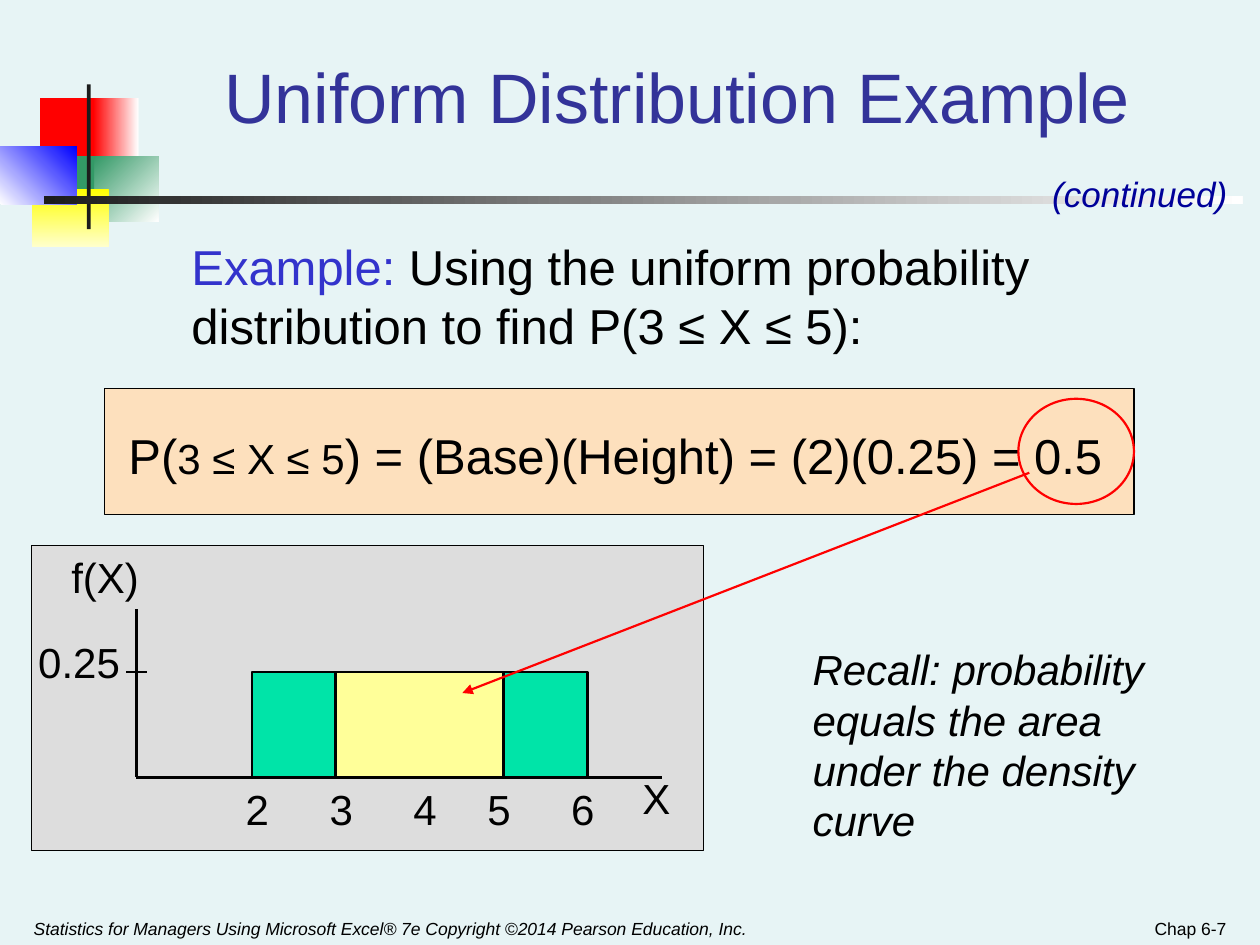
from dataclasses import dataclass

from lxml.etree import SubElement
from pptx import Presentation
from pptx.dml.color import RGBColor
from pptx.enum.shapes import MSO_CONNECTOR, MSO_SHAPE
from pptx.enum.text import MSO_ANCHOR, PP_ALIGN
from pptx.oxml.ns import qn
from pptx.util import Cm, Pt


@dataclass(frozen=True)
class Theme:
    """Colours, font and type sizes of the slide."""
    font: str = "Arial"
    background: str = "E7F4F5"
    ink: str = "000000"
    rule: str = "1C1C1C"
    white: str = "FFFFFF"
    title: str = "333399"
    keyword: str = "3333CC"
    continued: str = "000099"
    accent: str = "FF0000"
    green: str = "339966"
    yellow: str = "FFFF00"
    pale_yellow: str = "FFFFCC"
    blue: str = "0000FF"
    chart_panel: str = "DDDDDD"
    formula_panel: str = "FDE0BD"
    density: str = "00E4A8"
    area: str = "FFFF99"
    title_size: int = 40
    body_size: int = 28
    label_size: int = 24
    continued_size: int = 20
    footer_size: int = 10


THEME = Theme()
BASELINE, DENSITY_TOP = 15.67, 13.55


def rgb(color):
    """Turn a hex string into a colour."""
    return RGBColor.from_string(color)


def x_at(value):
    """Give the horizontal place of a value on the X axis, in cm."""
    return 5.08 + (value - 2) * 1.69


def add_block(slide, box, fill=None, line=None, weight=0.75, shape=MSO_SHAPE.RECTANGLE):
    """Add a flat preset shape with an optional fill and outline."""
    block = slide.shapes.add_shape(shape, *map(Cm, box))
    block.shadow.inherit = False
    if fill:
        block.fill.solid()
        block.fill.fore_color.rgb = rgb(fill)
    else:
        block.fill.background()
    if line:
        block.line.color.rgb = rgb(line)
        block.line.width = Pt(weight)
    else:
        block.line.fill.background()
    return block


def add_fade(slide, box, start, end, angle=0):
    """Add a borderless block that fades at a counter-clockwise angle."""
    fade = add_block(slide, box)
    fade.fill.gradient()
    fade.fill.gradient_angle = angle
    for stop, position, color in zip(fade.fill.gradient_stops, (0, 1), (start, end)):
        stop.position = position
        stop.color.rgb = rgb(color)


def add_line(slide, start, end, color=THEME.ink, weight=1.5, arrow=False):
    """Add a straight line, with an arrowhead at its end if asked."""
    line = slide.shapes.add_connector(
        MSO_CONNECTOR.STRAIGHT, *map(Cm, (*start, *end)))
    line.line.color.rgb = rgb(color)
    line.line.width = Pt(weight)
    if arrow:
        SubElement(line.line._get_or_add_ln(), qn("a:tailEnd"), type="triangle")
    SubElement(line._element.spPr, qn("a:effectLst"))


def format_run(run, size, color=THEME.ink, italic=False):
    """Set the type of one run."""
    run.font.name = THEME.font
    run.font.size = Pt(size)
    run.font.italic = italic
    run.font.color.rgb = rgb(color)


def add_frame(slide, box, anchor=MSO_ANCHOR.TOP):
    """Add a wrapping text box and return its text frame."""
    frame = slide.shapes.add_textbox(*map(Cm, box)).text_frame
    frame.word_wrap = True
    frame.vertical_anchor = anchor
    return frame


def add_label(slide, box, text, size=THEME.label_size, color=THEME.ink,
              italic=False, align=PP_ALIGN.LEFT, anchor=MSO_ANCHOR.TOP):
    """Add text in a single style."""
    frame = add_frame(slide, box, anchor)
    frame.text = text
    for paragraph in frame.paragraphs:
        paragraph.alignment = align
        for run in paragraph.runs:
            format_run(run, size, color, italic)


def add_sentence(slide, box, parts):
    """Add one paragraph from (text, size, colour) parts."""
    paragraph = add_frame(slide, box).paragraphs[0]
    for text, size, color in parts:
        run = paragraph.add_run()
        run.text = text
        format_run(run, size, color)


def draw_ornament(slide):
    """Draw the overlapping squares and rules beside the title."""
    add_block(slide, (0.81, 1.98, 1.22, 1.32), THEME.accent)
    add_fade(slide, (1.88, 1.98, 0.91, 1.32), THEME.accent, THEME.white)
    add_fade(slide, (1.9, 3.15, 1.3, 1.32), THEME.green, THEME.white, 315)
    add_block(slide, (1.09, 3.15, 0.81, 1.32), THEME.green)
    add_fade(slide, (0.64, 3.81, 1.55, 1.17), THEME.yellow, THEME.pale_yellow, 270)
    add_fade(slide, (0, 2.95, 1.55, 1.17), THEME.white, THEME.blue, 45)
    add_block(slide, (1.75, 1.7, 0.08, 2.92), THEME.rule)
    add_fade(slide, (0.89, 3.96, 24.16, 0.15), THEME.rule, THEME.white)


def draw_texts(slide):
    """Write the title, question, reminder and footer."""
    add_label(slide, (3.96, 1.07, 19.38, 1.83), "Uniform Distribution Example",
              THEME.title_size, THEME.title, align=PP_ALIGN.CENTER,
              anchor=MSO_ANCHOR.BOTTOM)
    add_label(slide, (20.96, 3.35, 4.44, 1.12), "(continued)",
              THEME.continued_size, THEME.continued, italic=True)
    add_sentence(slide, (3.61, 4.65, 19.25, 2.64), [
        ("Example:", THEME.body_size, THEME.keyword),
        (" Using the uniform probability distribution to find P(3 ≤ X ≤ 5):",
         THEME.body_size, THEME.ink)])
    add_label(slide, (16.13, 12.85, 7.5, 4.32),
              "Recall: probability\nequals the area\nunder the density\ncurve",
              italic=True)
    add_label(slide, (0.43, 18.16, 15.67, 0.89),
              "Statistics for Managers Using Microsoft Excel® 7e "
              "Copyright ©2014 Pearson Education, Inc.",
              THEME.footer_size, italic=True, anchor=MSO_ANCHOR.BOTTOM)
    add_label(slide, (19.05, 18.16, 5.92, 0.89), "Chap 6-7", THEME.footer_size,
              align=PP_ALIGN.RIGHT, anchor=MSO_ANCHOR.BOTTOM)


def draw_formula(slide):
    """Draw the panel with the worked probability."""
    add_block(slide, (2.11, 7.83, 20.75, 2.54), THEME.formula_panel, THEME.ink)
    add_sentence(slide, (2.34, 8.46, 21.39, 1.45), [
        ("P(", THEME.body_size, THEME.ink),
        ("3 ≤ X ≤ 5", THEME.label_size, THEME.ink),
        (") = (Base)(Height) = (2)(0.25) = 0.5", THEME.body_size, THEME.ink)])


def draw_density(slide):
    """Draw the density graph with its axes, area and labels."""
    add_block(slide, (0.64, 11, 13.54, 6.15), THEME.chart_panel, THEME.ink)
    origin = (2.75, BASELINE)
    add_line(slide, (2.75, 12.28), origin)
    add_line(slide, origin, (13.34, BASELINE))
    add_line(slide, (2.54, DENSITY_TOP), (2.96, DENSITY_TOP))
    for low, high, fill in ((2, 6, THEME.density), (3, 5, THEME.area)):
        add_block(slide, (x_at(low), DENSITY_TOP, x_at(high) - x_at(low),
                          BASELINE - DENSITY_TOP), fill, THEME.ink, 1.5)
    for value in range(2, 7):
        shift = 0.42 if value < 5 else 0.62
        add_label(slide, (x_at(value) - shift, BASELINE, 1.06, 1.27), str(value),
                  align=PP_ALIGN.CENTER)
    for text, left, top, width in (("f(X)", 1.06, 11, 2.12),
                                   ("0.25", 0.43, 12.7, 2.33),
                                   ("X", 12.7, 15.45, 1.06)):
        add_label(slide, (left, top, width, 1.27), text, align=PP_ALIGN.CENTER)


def draw_callout(slide):
    """Circle the result and point from it to the shaded area."""
    add_block(slide, (20.53, 8.04, 2.33, 2.12), None, THEME.accent, 1.25,
              MSO_SHAPE.OVAL)
    add_line(slide, (20.75, 9.53), (9.32, 13.97), THEME.accent, 1.25, arrow=True)


def main():
    """Build the slide and save it."""
    presentation = Presentation()
    presentation.slide_width, presentation.slide_height = Cm(25.4), Cm(19.05)
    slide = presentation.slides.add_slide(presentation.slide_layouts[6])
    slide.background.fill.solid()
    slide.background.fill.fore_color.rgb = rgb(THEME.background)
    draw_ornament(slide)
    draw_texts(slide)
    draw_formula(slide)
    draw_density(slide)
    draw_callout(slide)
    presentation.save("out.pptx")


if __name__ == "__main__":
    main()
